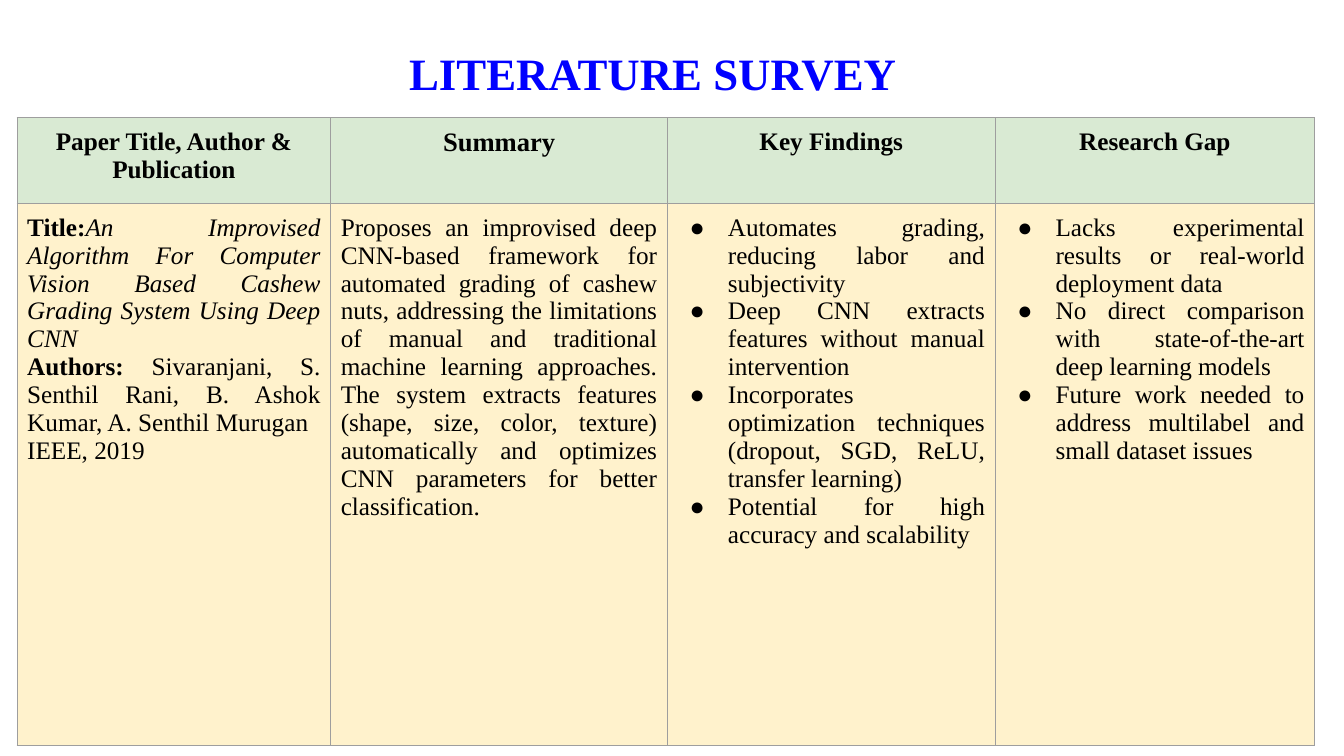
from dataclasses import dataclass

from lxml import etree
from pptx import Presentation
from pptx.dml.color import RGBColor
from pptx.enum.text import PP_ALIGN
from pptx.oxml.ns import qn
from pptx.util import Emu, Pt

CENTER, JUSTIFY = PP_ALIGN.CENTER, PP_ALIGN.JUSTIFY
PX = 9144  # EMU per px, 100 px to the inch
FONT = "Times New Roman"
COLORS = {"title": "0000FF", "text": "000000", "head": "D9EAD3",
          "body": "FFF2CC", "line": "9E9E9E"}


@dataclass
class Run:
    text: str
    bold: bool = False
    italic: bool = False


@dataclass
class Column:
    width: int
    head: str
    paras: list[list[Run]]
    size: int = 18
    bullets: bool = False


def px(n: int) -> Emu:
    return Emu(n * PX)


def points(*lines: str) -> list[list[Run]]:
    return [[Run(line)] for line in lines]


COLUMNS = [
    Column(311, "Paper Title, Author & Publication", [
        [Run("Title:", bold=True),
         Run("An Improvised Algorithm For Computer Vision Based Cashew "
             "Grading System Using Deep CNN", italic=True)],
        [Run("Authors:", bold=True),
         Run(" Sivaranjani, S. Senthil Rani, B. Ashok Kumar, "
             "A. Senthil Murugan")],
        [Run("IEEE, 2019")],
    ]),
    Column(334, "Summary", points(
        "Proposes an improvised deep CNN-based framework for automated "
        "grading of cashew nuts, addressing the limitations of manual and "
        "traditional machine learning approaches. The system extracts "
        "features (shape, size, color, texture) automatically and optimizes "
        "CNN parameters for better classification."), size=19),
    Column(325, "Key Findings", points(
        "Automates grading, reducing labor and subjectivity",
        "Deep CNN extracts features without manual intervention",
        "Incorporates optimization techniques (dropout, SGD, ReLU, "
        "transfer learning)",
        "Potential for high accuracy and scalability"), bullets=True),
    Column(317, "Research Gap", points(
        "Lacks experimental results or real-world deployment data",
        "No direct comparison with state-of-the-art deep learning models",
        "Future work needed to address multilabel and small dataset issues"),
        bullets=True),
]
ROWS = [85, 538]


def add_bullet(para) -> None:
    props = para._p.get_or_add_pPr()
    props.set("marL", str(px(50)))
    props.set("indent", str(px(-38)))
    tint = etree.SubElement(props, qn("a:buClr"))
    etree.SubElement(tint, qn("a:srgbClr"), val=COLORS["text"])
    etree.SubElement(props, qn("a:buFont"), typeface=FONT)
    etree.SubElement(props, qn("a:buChar"), char="●")


def write(frame, paras: list[list[Run]], *, size: int = 18,
          color: str = "text", align=JUSTIFY, bullets: bool = False) -> None:
    for i, runs in enumerate(paras):
        para = frame.add_paragraph() if i else frame.paragraphs[0]
        para.alignment = align
        if bullets:
            add_bullet(para)
        for item in runs:
            run = para.add_run()
            run.text = item.text
            font = run.font
            font.name, font.size = FONT, Pt(size)
            font.bold, font.italic = item.bold, item.italic
            font.color.rgb = RGBColor.from_string(COLORS[color])


def style_cell(cell, color: str) -> None:
    cell.margin_left = cell.margin_right = px(10)
    cell.margin_top = cell.margin_bottom = px(10)
    props = cell._tc.get_or_add_tcPr()
    for side in ("lnL", "lnR", "lnT", "lnB"):
        line = etree.SubElement(props, qn(f"a:{side}"), w=str(Pt(0.75)))
        fill = etree.SubElement(line, qn("a:solidFill"))
        etree.SubElement(fill, qn("a:srgbClr"), val=COLORS["line"])
    cell.fill.solid()
    cell.fill.fore_color.rgb = RGBColor.from_string(COLORS[color])


def add_title(slide) -> None:
    box = slide.shapes.add_textbox(px(282), px(40), px(731), px(64))
    box.text_frame.word_wrap = True
    write(box.text_frame, [[Run("LITERATURE SURVEY", bold=True)]],
          size=32, color="title", align=CENTER)


def add_survey(slide) -> None:
    width = sum(col.width for col in COLUMNS)
    table = slide.shapes.add_table(len(ROWS), len(COLUMNS), px(17), px(117),
                                   px(width), px(sum(ROWS))).table
    table.first_row = table.horz_banding = False
    for row, height in zip(table.rows, ROWS):
        row.height = px(height)
    for i, col in enumerate(COLUMNS):
        table.columns[i].width = px(col.width)
        head, body = table.cell(0, i), table.cell(1, i)
        style_cell(head, "head")
        style_cell(body, "body")
        write(head.text_frame, [[Run(col.head, bold=True)]],
              size=col.size, align=CENTER)
        write(body.text_frame, col.paras, bullets=col.bullets)


def main() -> None:
    deck = Presentation()
    deck.slide_width, deck.slide_height = px(1333), px(750)
    slide = deck.slides.add_slide(deck.slide_layouts[6])
    add_title(slide)
    add_survey(slide)
    deck.save("out.pptx")


if __name__ == "__main__":
    main()
